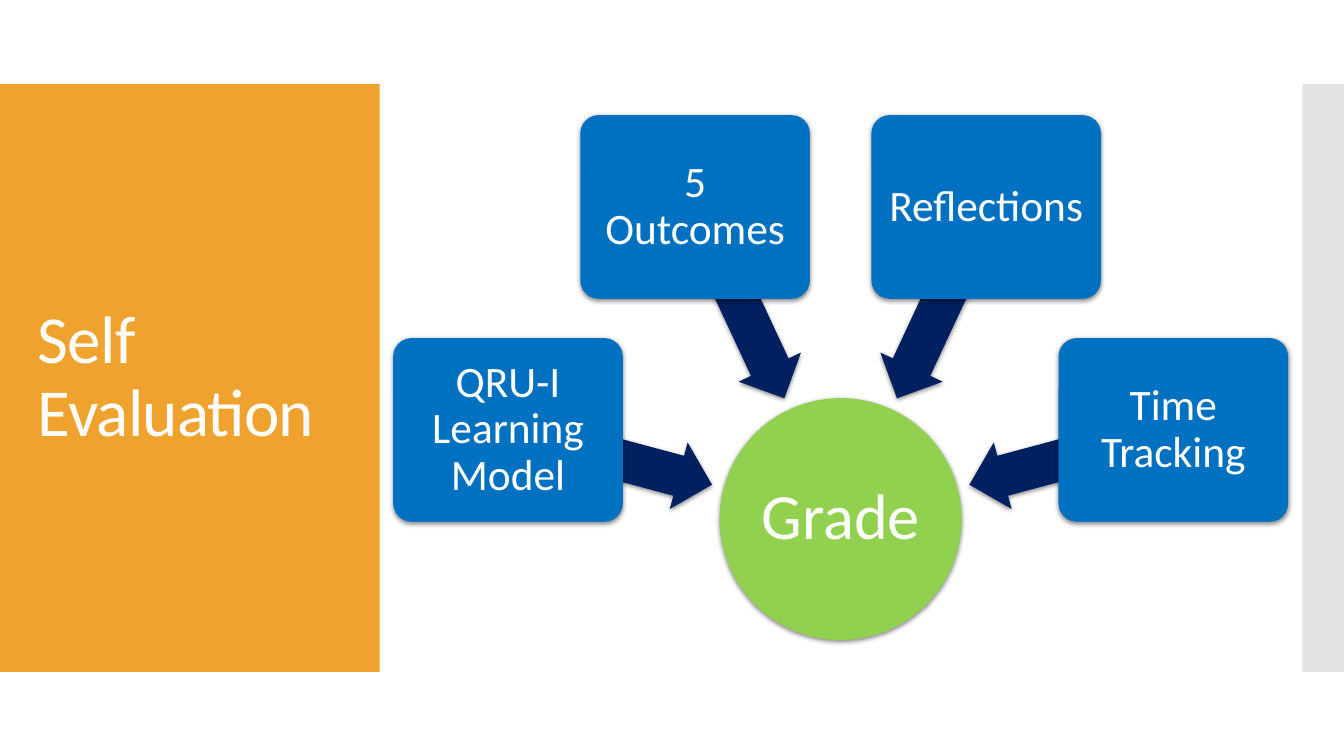
"""Build the self evaluation slide: four inputs radiating into a grade."""
from dataclasses import dataclass
from math import cos, radians, sin

from lxml.etree import SubElement
from pptx import Presentation
from pptx.dml.color import RGBColor
from pptx.enum.shapes import MSO_SHAPE
from pptx.enum.text import MSO_ANCHOR, PP_ALIGN
from pptx.oxml import parse_xml
from pptx.oxml.ns import nsdecls, qn
from pptx.shapes.autoshape import Shape
from pptx.slide import Slide
from pptx.util import Pt

ORANGE = RGBColor(0xF0, 0xA2, 0x2E)
GREY = RGBColor(0xC8, 0xC8, 0xC8)
GREEN = RGBColor(0x92, 0xD0, 0x50)
NAVY = RGBColor(0x00, 0x20, 0x60)
BLUE = RGBColor(0x00, 0x70, 0xC0)
WHITE = RGBColor(0xFF, 0xFF, 0xFF)

HUB_X, HUB_Y, HUB_SIZE = 600.5, 370.8, 172.8
BOX_W, BOX_H, BOX_RADIUS = 164, 131.2, 246
ARROW_W, ARROW_H, ARROW_RADIUS = 151.2, 49.2, 170.8
BAND_TOP, BAND_H = 60, 420
SHADOW = (
    f'<a:effectLst {nsdecls("a")}><a:outerShdw blurRad="{Pt(3.5)}" dist="{Pt(1.1)}" '
    'dir="5400000" rotWithShape="0"><a:srgbClr val="000000"><a:alpha val="45000"/>'
    '</a:srgbClr></a:outerShdw></a:effectLst>'
)


@dataclass
class Source:
    label: str
    angle: int


SOURCES = [
    Source("QRU-I Learning Model", 195),
    Source("5 Outcomes", 245),
    Source("Reflections", 295),
    Source("Time Tracking", 345),
]


def add_block(s: Slide, kind: MSO_SHAPE, x: float, y: float, w: float, h: float,
              fill: RGBColor) -> Shape:
    """Add a plain filled shape without outline or shadow."""
    sp = s.shapes.add_shape(kind, Pt(x), Pt(y), Pt(w), Pt(h))
    sp.fill.solid()
    sp.fill.fore_color.rgb = fill
    sp.line.fill.background()
    sp.shadow.inherit = False
    return sp


def add_raised(s: Slide, kind: MSO_SHAPE, cx: float, cy: float, w: float, h: float,
               fill: RGBColor) -> Shape:
    """Add a filled shape with a soft shadow, placed by its centre."""
    sp = add_block(s, kind, cx - w / 2, cy - h / 2, w, h, fill)
    effects = sp._element.spPr.find(qn("a:effectLst"))
    effects.getparent().replace(effects, parse_xml(SHADOW))
    return sp


def set_text(sp: Shape, text: str, size: float, align: PP_ALIGN, side: float, edge: float) -> None:
    """Write one white paragraph, centred vertically."""
    tf = sp.text_frame
    frame_format = {
        "word_wrap": True, "vertical_anchor": MSO_ANCHOR.MIDDLE,
        "margin_left": Pt(side), "margin_right": Pt(side),
        "margin_top": Pt(edge), "margin_bottom": Pt(edge),
    }
    for name, value in frame_format.items():
        setattr(tf, name, value)
    p = tf.paragraphs[0]
    p.alignment, p.line_spacing = align, 0.9
    r = p.add_run()
    r.text = text
    for name, value in {"name": "Calibri", "size": Pt(size)}.items():
        setattr(r.font, name, value)
    r.font.color.rgb = WHITE


def add_bands(s: Slide) -> None:
    """Add the side bands and the slide title."""
    add_block(s, MSO_SHAPE.RECTANGLE, 0, BAND_TOP, 271.2, BAND_H, ORANGE)
    strip = add_block(s, MSO_SHAPE.RECTANGLE, 930.2, BAND_TOP, 29.8, BAND_H, GREY)
    color = strip._element.spPr.find(qn("a:solidFill"))[0]
    SubElement(color, qn("a:alpha"), val="50000")
    title = s.shapes.add_textbox(Pt(20), Pt(88.8), Pt(232), Pt(362.4))
    set_text(title, "Self Evaluation", 48, PP_ALIGN.LEFT, 7.2, 3.6)
    r = title.text_frame.paragraphs[0].runs[0]
    r.font._element.set("spc", "-60")


def add_source(s: Slide, source: Source) -> None:
    """Add one labelled box and its arrow toward the hub."""
    dx, dy = cos(radians(source.angle)), sin(radians(source.angle))
    arrow = add_raised(s, MSO_SHAPE.LEFT_ARROW, HUB_X + ARROW_RADIUS * dx,
                       HUB_Y + ARROW_RADIUS * dy, ARROW_W, ARROW_H, NAVY)
    arrow.rotation = source.angle
    arrow.adjustments[0], arrow.adjustments[1] = 0.6, 0.5
    box = add_raised(s, MSO_SHAPE.ROUNDED_RECTANGLE, HUB_X + BOX_RADIUS * dx,
                     HUB_Y + BOX_RADIUS * dy, BOX_W, BOX_H, BLUE)
    box.adjustments[0] = 0.1
    set_text(box, source.label, 31, PP_ALIGN.CENTER, 4.3, 4.3)


def main() -> None:
    """Assemble and save the slide."""
    prs = Presentation()
    prs.slide_width, prs.slide_height = Pt(960), Pt(540)
    s = prs.slides.add_slide(prs.slide_layouts[6])
    add_bands(s)
    hub = add_raised(s, MSO_SHAPE.OVAL, HUB_X, HUB_Y, HUB_SIZE, HUB_SIZE, GREEN)
    set_text(hub, "Grade", 46, PP_ALIGN.CENTER, 2.2, 2.2)
    for source in SOURCES:
        add_source(s, source)
    prs.save("out.pptx")


if __name__ == "__main__":
    main()
